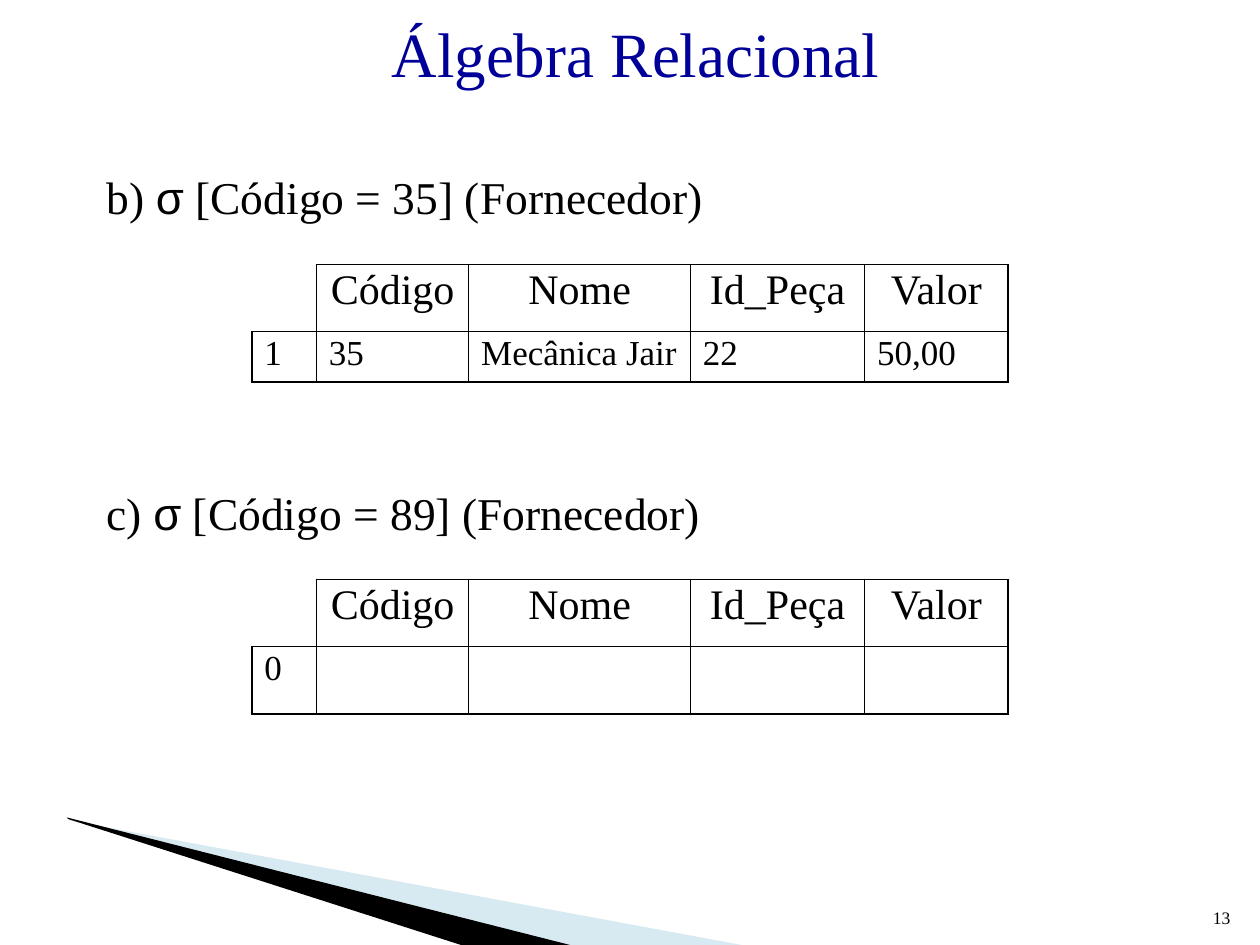
from lxml import etree
from pptx import Presentation
from pptx import util as u
from pptx.dml import color
from pptx.enum import text
from pptx.oxml import ns

COLORS = {"black": "000000", "title": "000099", "pale": "9FCBDC"}
SERIF, SYMBOL = "Times New Roman", "Arial"
COLUMN_WIDTHS = (1.3, 3.07, 4.47, 3.51, 2.89)
HEADERS = ("", "Código", "Nome", "Id_Peça", "Valor")
THICK, THIN = 1.08, 0.45


def rgb(name):
    return color.RGBColor.from_string(COLORS[name])


def add_run(paragraph, words, size, font=SERIF, ink="black"):
    run = paragraph.add_run()
    run.text = words
    run.font.size = u.Pt(size)
    run.font.name = font
    run.font.color.rgb = rgb(ink)


def add_text(slide, box, runs, size, align, anchor=text.MSO_ANCHOR.TOP, ink="black"):
    """Add one line of text made of (words, font) runs."""
    shape = slide.shapes.add_textbox(*(u.Cm(length) for length in box))
    frame = shape.text_frame
    frame.word_wrap = True
    frame.vertical_anchor = anchor
    paragraph = frame.paragraphs[0]
    paragraph.alignment = align
    for words, font in runs:
        add_run(paragraph, words, size, font, ink)
    return paragraph


def add_wedge(slide, left, top, points, fill, opacity=100):
    corners = [(u.Cm(left + x), u.Cm(top + y)) for x, y in points]
    builder = slide.shapes.build_freeform(*corners[0], scale=1.0)
    builder.add_line_segments(corners[1:], close=True)
    shape = builder.convert_to_shape()
    shape.shadow.inherit = False
    shape.line.fill.background()
    shape.fill.solid()
    shape.fill.fore_color.rgb = rgb(fill)
    if opacity < 100:
        tint = shape.element.spPr.find(".//" + ns.qn("a:srgbClr"))
        etree.SubElement(tint, ns.qn("a:alpha"), val=str(opacity * 1000))


def add_decoration(slide, left, top):
    add_wedge(slide, left, top,
              [(0.05, 0.06), (13.76, 2.6), (10.23, 2.6), (0.05, 0.03)], "pale", 40)
    add_wedge(slide, left, top,
              [(0, 0), (10.26, 2.6), (8.1, 2.62), (0.02, 0.03)], "black")


def set_borders(cell, weights):
    """Set the L, R, T, B borders in points; a weight of 0 hides the border."""
    properties = cell._tc.get_or_add_tcPr()
    for index, (side, weight) in enumerate(zip("LRTB", weights)):
        line = etree.Element(ns.qn("a:ln" + side), w=str(int(u.Pt(weight))))
        if weight:
            fill = etree.SubElement(line, ns.qn("a:solidFill"))
            etree.SubElement(fill, ns.qn("a:srgbClr"), val=COLORS["black"])
        else:
            etree.SubElement(line, ns.qn("a:noFill"))
        properties.insert(index, line)


def border_weights(row, column):
    if row == 0 and column == 0:
        return 0, THICK, 0, THIN
    left = THICK if column <= 1 else THIN
    right = THICK if column in (0, len(HEADERS) - 1) else THIN
    return left, right, THIN if row else THICK, THICK if row else THIN


def add_result_table(slide, left, top, values, value_height):
    heights = (1.35, value_height)
    frame = slide.shapes.add_table(2, len(HEADERS), u.Cm(left), u.Cm(top),
                                   u.Cm(sum(COLUMN_WIDTHS)), u.Cm(sum(heights)))
    table = frame.table
    table.horz_banding = table.first_row = False
    for column, width in zip(table.columns, COLUMN_WIDTHS):
        column.width = u.Cm(width)
    styles = ((24, text.PP_ALIGN.CENTER), (20, text.PP_ALIGN.JUSTIFY))
    for row, (entries, (size, align)) in enumerate(zip((HEADERS, values), styles)):
        table.rows[row].height = u.Cm(heights[row])
        for column, words in enumerate(entries):
            cell = table.cell(row, column)
            cell.fill.background()
            set_borders(cell, border_weights(row, column))
            cell.margin_left = cell.margin_right = u.Cm(0.25)
            if words:
                paragraph = cell.text_frame.paragraphs[0]
                paragraph.alignment = align
                paragraph.line_spacing = 0.9
                add_run(paragraph, words, size)


def add_selection(slide, left, top, label, code, values, table_gap, value_height):
    """Add a selection expression with its result table below."""
    runs = [(label + ") ", SERIF), ("σ", SYMBOL),
            (f" [Código = {code}] (Fornecedor) ", SERIF)]
    paragraph = add_text(slide, (left, top, 22.02, 1.47), runs, 26,
                         text.PP_ALIGN.JUSTIFY)
    paragraph.line_spacing = 1.1
    add_result_table(slide, left + 3.18, top + table_gap, values, value_height)


def main():
    presentation = Presentation()
    presentation.slide_width, presentation.slide_height = u.Cm(25.4), u.Cm(19.05)
    slide = presentation.slides.add_slide(presentation.slide_layouts[6])

    # Corner decoration and page number
    add_decoration(slide, 1.35, 16.48)
    add_text(slide, (24.03, 17.81, 1.02, 1.02), [("13", SERIF)], 10,
             text.PP_ALIGN.RIGHT, text.MSO_ANCHOR.BOTTOM)

    # Title
    add_text(slide, (1.7, 0.43, 22.23, 1.27), [("Álgebra Relacional", SERIF)], 36,
             text.PP_ALIGN.CENTER, text.MSO_ANCHOR.MIDDLE, "title")

    # Selections with their results
    add_selection(slide, 1.9, 3.18, "b", 35,
                  ("1", "35", "Mecânica Jair", "22", "50,00"), 2.15, 1.02)
    add_selection(slide, 1.9, 9.55, "c", 89, ("0", "", "", "", ""), 2.13, 1.37)

    presentation.save("out.pptx")


if __name__ == "__main__":
    main()
